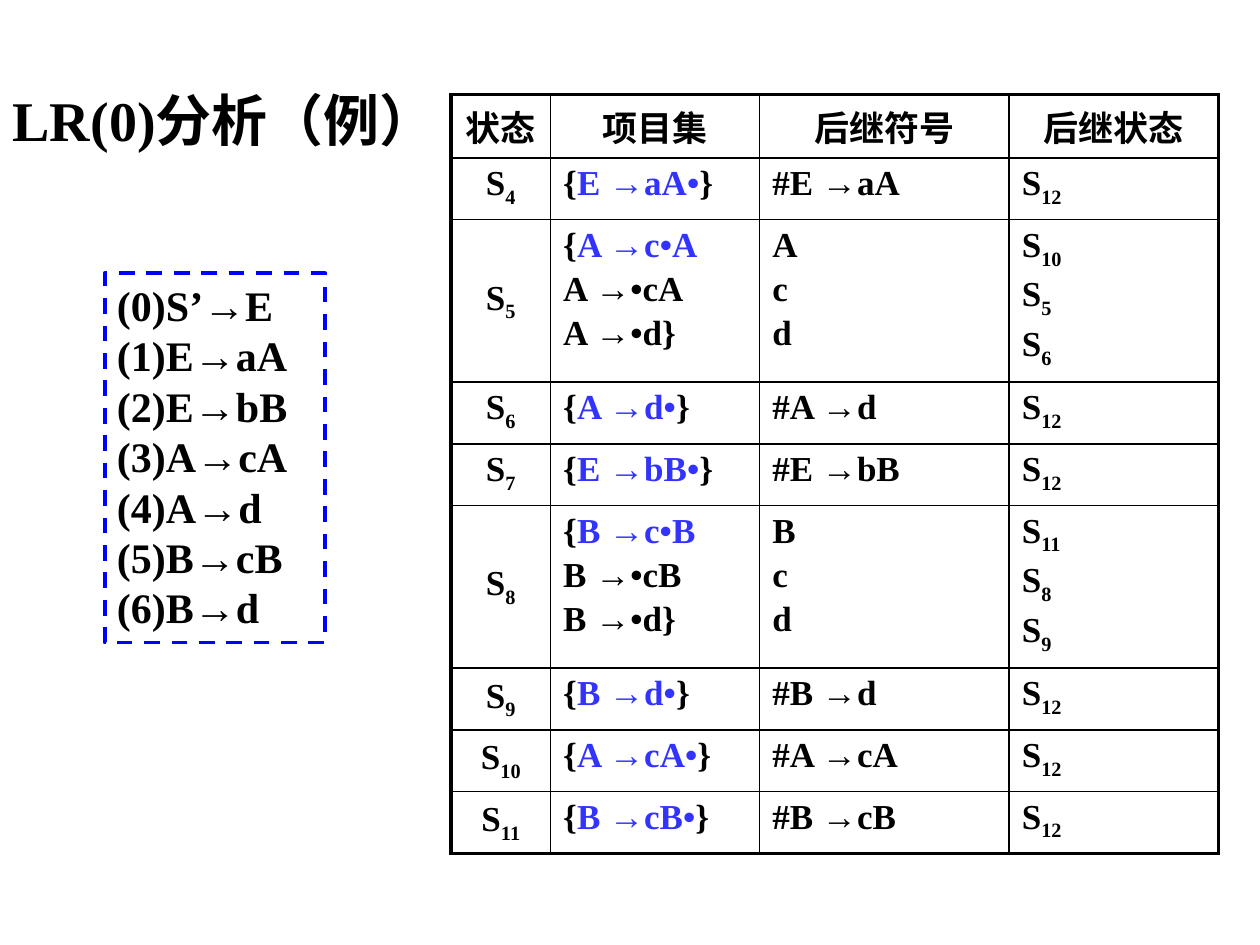
from lxml import etree
from pptx import Presentation
from pptx.dml.color import RGBColor
from pptx.enum.dml import MSO_LINE
from pptx.enum.shapes import MSO_SHAPE
from pptx.enum.text import MSO_ANCHOR, MSO_AUTO_SIZE, PP_ALIGN
from pptx.oxml.ns import qn
from pptx.util import Inches, Pt

LEFT, CENTER = PP_ALIGN.LEFT, PP_ALIGN.CENTER
TOP, MIDDLE = MSO_ANCHOR.TOP, MSO_ANCHOR.MIDDLE
RECTANGLE, DASH = MSO_SHAPE.RECTANGLE, MSO_LINE.DASH
TITLE_ONLY = 5

BLACK, ITEM_BLUE, FRAME_BLUE = "000000", "3333FF", "0000FF"
THIN, THICK = 1, 2.25

GRAMMAR = ["(0)S’→E", "(1)E→aA", "(2)E→bB", "(3)A→cA", "(4)A→d", "(5)B→cB", "(6)B→d"]
COLUMN_WIDTHS = [0.79, 1.66, 1.98, 1.66]
HEADINGS = ["状态", "项目集", "后继符号", "后继状态"]
HEADING_HEIGHT = 0.43
ROW_HEIGHTS = {1: 0.49, 3: 1.29}  # by number of lines

# Text between bars is blue, text after an underscore is subscript.
STATES = [
    (["S_4"], ["{|E →aA•|}"], ["#E →aA"], ["S_12"]),
    (["S_5"], ["{|A →c•A|", "A →•cA", "A →•d}"], ["A", "c", "d"], ["S_10", "S_5", "S_6"]),
    (["S_6"], ["{|A →d•|}"], ["#A →d"], ["S_12"]),
    (["S_7"], ["{|E →bB•|}"], ["#E →bB"], ["S_12"]),
    (["S_8"], ["{|B →c•B|", "B →•cB", "B →•d}"], ["B", "c", "d"], ["S_11", "S_8", "S_9"]),
    (["S_9"], ["{|B →d•|}"], ["#B →d"], ["S_12"]),
    (["S_10"], ["{|A →cA•|}"], ["#A →cA"], ["S_12"]),
    (["S_11"], ["{|B →cB•|}"], ["#B →cB"], ["S_12"]),
]
MIDDLE_STATES = {"S_5", "S_8", "S_9", "S_10", "S_11"}


def color(value):
    return RGBColor.from_string(value)


class SlideBuilder:
    font_name = "Times New Roman"

    def __init__(self, slide):
        self.slide = slide

    def style(self, font, size, text_color=BLACK):
        font.name = self.font_name
        font.size = Pt(size)
        font.bold = True
        font.color.rgb = color(text_color)

    def title(self, text, left, top, width, height):
        title = self.slide.shapes.title
        title.left, title.top = Inches(left), Inches(top)
        title.width, title.height = Inches(width), Inches(height)
        frame = title.text_frame
        frame.text = text
        frame.auto_size = MSO_AUTO_SIZE.NONE
        frame.vertical_anchor = MIDDLE
        paragraph = frame.paragraphs[0]
        paragraph.alignment = LEFT
        self.style(paragraph.font, 32)

    def dashed_box(self, lines, left, top, width, height):
        box = self.slide.shapes.add_shape(
            RECTANGLE, Inches(left), Inches(top), Inches(width), Inches(height))
        box.shadow.inherit = False
        box.fill.background()
        box.line.color.rgb = color(FRAME_BLUE)
        box.line.width = Pt(THICK)
        box.line.dash_style = DASH
        frame = box.text_frame
        frame.text = "\n".join(lines)
        frame.auto_size = MSO_AUTO_SIZE.SHAPE_TO_FIT_TEXT
        frame.vertical_anchor = TOP
        for paragraph in frame.paragraphs:
            paragraph.alignment = LEFT
            self.style(paragraph.font, 24)

    def table(self, rows, heights, widths, left, top):
        table = self.slide.shapes.add_table(
            len(rows), len(widths), Inches(left), Inches(top),
            Inches(sum(widths)), Inches(sum(heights))).table
        table.first_row = table.horz_banding = False
        for column, width in zip(table.columns, widths):
            column.width = Inches(width)
        last_row, last_column = len(rows) - 1, len(widths) - 1
        for r, (row, height) in enumerate(zip(rows, heights)):
            table.rows[r].height = Inches(height)
            for c, lines in enumerate(row):
                cell = table.cell(r, c)
                outer = {"L": c == 0, "R": c == last_column, "T": r == 0, "B": r == last_row}
                self.borders(cell, outer)
                cell.fill.background()
                if lines[0] in MIDDLE_STATES and c == 0:
                    cell.vertical_anchor = MIDDLE
                self.cell_text(cell, lines, CENTER if r == 0 or c == 0 else LEFT)

    def borders(self, cell, outer):
        properties = cell._tc.get_or_add_tcPr()
        for side, is_outer in outer.items():
            line = etree.SubElement(properties, qn(f"a:ln{side}"))
            line.set("w", str(Pt(THICK if is_outer else THIN)))
            fill = etree.SubElement(line, qn("a:solidFill"))
            etree.SubElement(fill, qn("a:srgbClr")).set("val", BLACK)

    def cell_text(self, cell, lines, alignment):
        frame = cell.text_frame
        for i, line in enumerate(lines):
            paragraph = frame.add_paragraph() if i else frame.paragraphs[0]
            paragraph.alignment = alignment
            paragraph.space_before = Pt(3)
            for j, part in enumerate(line.split("|")):
                base, _, subscript = part.partition("_")
                if base:
                    self.run(paragraph, base, ITEM_BLUE if j % 2 else BLACK)
                if subscript:
                    run = self.run(paragraph, subscript, BLACK)
                    run._r.get_or_add_rPr().set("baseline", "-25000")

    def run(self, paragraph, text, text_color):
        run = paragraph.add_run()
        run.text = text
        self.style(run.font, 20, text_color)
        return run


def main():
    presentation = Presentation()
    presentation.slide_width, presentation.slide_height = Inches(10), Inches(7.5)
    slide = presentation.slides.add_slide(presentation.slide_layouts[TITLE_ONLY])
    builder = SlideBuilder(slide)
    builder.title("LR(0)分析（例）", 0, 0.67, 9, 0.55)
    rows = [[[heading] for heading in HEADINGS], *STATES]
    heights = [HEADING_HEIGHT] + [ROW_HEIGHTS[len(items)] for _, items, _, _ in STATES]
    builder.table(rows, heights, COLUMN_WIDTHS, 3.58, 0.75)
    builder.dashed_box(GRAMMAR, 0.83, 2.17, 1.75, 2.93)
    presentation.save("out.pptx")


if __name__ == "__main__":
    main()
